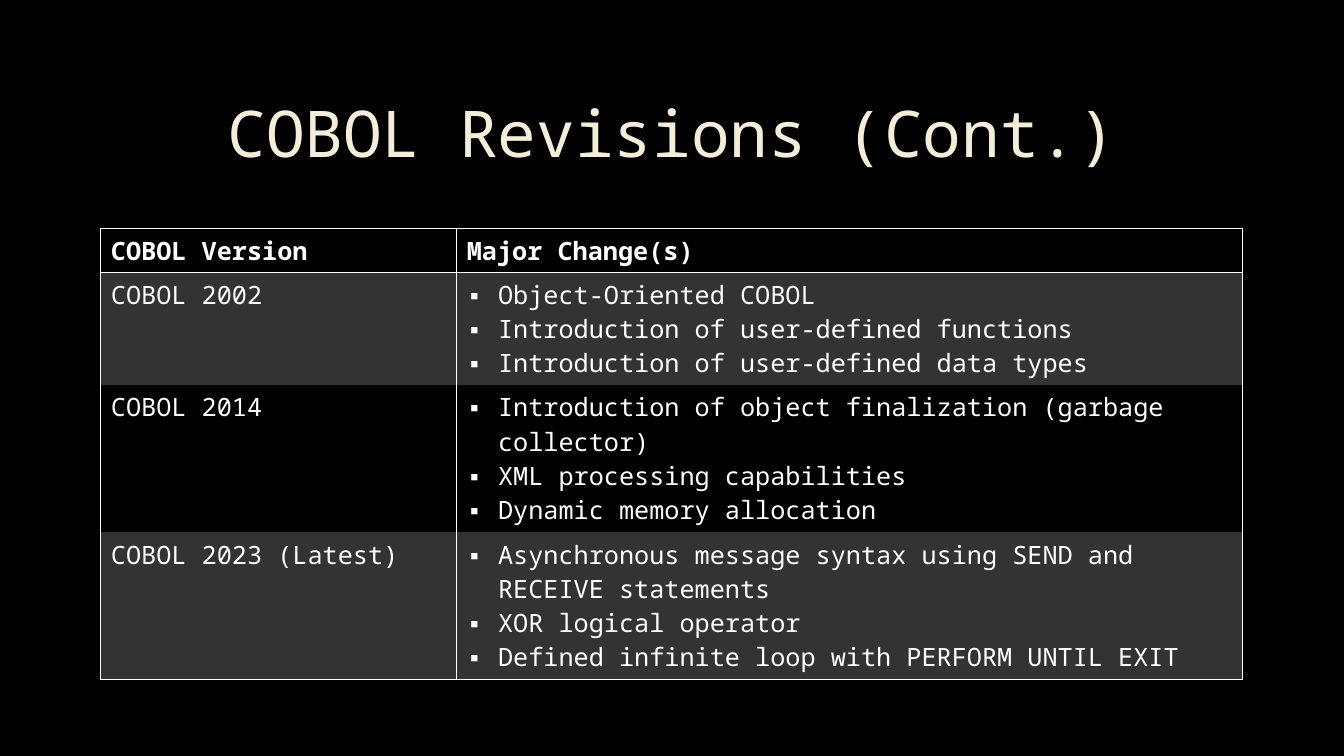
"""Build the slide on the later COBOL revisions."""
from dataclasses import dataclass

from lxml import etree
from pptx import Presentation
from pptx.dml.color import RGBColor
from pptx.enum.text import MSO_ANCHOR, PP_ALIGN
from pptx.oxml.ns import qn
from pptx.util import Inches, Pt

MIDDLE = MSO_ANCHOR.MIDDLE
CENTER = PP_ALIGN.CENTER

HEAD = ("COBOL Version", "Major Change(s)")
ROWS = [
    ("COBOL 2002", [
        "Object-Oriented COBOL",
        "Introduction of user-defined functions",
        "Introduction of user-defined data types",
    ]),
    ("COBOL 2014", [
        "Introduction of object finalization (garbage collector)",
        "XML processing capabilities",
        "Dynamic memory allocation",
    ]),
    ("COBOL 2023 (Latest)", [
        "Asynchronous message syntax using SEND and RECEIVE statements",
        "XOR logical operator",
        "Defined infinite loop with PERFORM UNTIL EXIT",
    ]),
]


@dataclass(frozen=True)
class Theme:
    """Hold the colours, font and type sizes."""
    back: str = "000000"
    ink: str = "FFFFFF"
    title: str = "F4EDD8"
    edge: str = "404040"
    font: str = "Noto Sans Mono"
    big: int = 46
    body: int = 18


def add_color(parent, color, alpha=None):
    """Add a solid fill, clear in part if alpha is given, to an XML node."""
    fill = etree.SubElement(parent, qn("a:solidFill"))
    tone = etree.SubElement(fill, qn("a:srgbClr"), val=color)
    if alpha is not None:
        etree.SubElement(tone, qn("a:alpha"), val=str(alpha * 1000))


def write(para, text, *, font, size, color, bold=False, align=None, bullet=None):
    """Write text into a paragraph and return its run."""
    run = para.add_run()
    run.text = text
    run.font.name = font
    run.font.size = Pt(size)
    run.font.bold = bold
    run.font.color.rgb = RGBColor.from_string(color)
    para.alignment = align
    if bullet:
        props = para._p.get_or_add_pPr()
        dent = Inches(0.31)
        props.set("marL", str(dent))
        props.set("indent", str(-dent))
        etree.SubElement(props, qn("a:buFont"), typeface=font)
        etree.SubElement(props, qn("a:buChar"), char=bullet)
    return run


class Deck:
    """Hold the theme and the current slide."""

    def __init__(self, theme):
        """Open a wide deck with one blank slide."""
        self.theme = theme
        self.deck = Presentation()
        self.deck.slide_width = Inches(13.33)
        self.deck.slide_height = Inches(7.5)
        self.slide = self.deck.slides.add_slide(self.deck.slide_layouts[6])
        fill = self.slide.background.fill
        fill.solid()
        fill.fore_color.rgb = RGBColor.from_string(theme.back)

    def title(self, text, left, top, width, height):
        """Add the centred title with its faint outline."""
        look = self.theme
        box = self.slide.shapes.add_textbox(
            Inches(left), Inches(top), Inches(width), Inches(height))
        frame = box.text_frame
        frame.word_wrap = True
        frame.vertical_anchor = MIDDLE
        para = frame.paragraphs[0]
        para.line_spacing = 0.9
        run = write(para, text, font=look.font, size=look.big,
                    color=look.title, align=CENTER)
        line = etree.Element(qn("a:ln"), w=str(Pt(0.75)))
        add_color(line, look.edge, 10)
        run._r.get_or_add_rPr().insert(0, line)

    def cell(self, cell, lines, sides, bold=False, bullet=None, band=False):
        """Fill one cell with lines, borders and an optional band."""
        look = self.theme
        frame = cell.text_frame
        for i, text in enumerate(lines):
            para = frame.add_paragraph() if i else frame.paragraphs[0]
            write(para, text, font=look.font, size=look.body,
                  color=look.ink, bold=bold, bullet=bullet)
        props = cell._tc.get_or_add_tcPr()
        for side in "LRTB":
            line = etree.SubElement(props, qn("a:ln" + side), w=str(Pt(1)))
            if side in sides:
                add_color(line, look.ink)
            else:
                etree.SubElement(line, qn("a:noFill"))
        if band:
            add_color(props, look.ink, 20)
        else:
            cell.fill.background()

    def table(self, head, rows, left, top, widths, heights):
        """Add the table of versions and their changes."""
        table = self.slide.shapes.add_table(
            len(heights), len(widths), Inches(left), Inches(top),
            Inches(sum(widths)), Inches(sum(heights))).table
        table.first_row = table.horz_banding = False
        for col, width in zip(table.columns, widths):
            col.width = Inches(width)
        for row, height in zip(table.rows, heights):
            row.height = Inches(height)
        for c, text in enumerate(head):
            self.cell(table.cell(0, c), [text], "LRTB", bold=True)
        for r, (name, changes) in enumerate(rows, 1):
            sides = "LR" + "T" * (r == 1) + "B" * (r == len(rows))
            band = r % 2 == 1
            self.cell(table.cell(r, 0), [name], sides, band=band)
            self.cell(table.cell(r, 1), changes, sides, bullet="▪", band=band)

    def save(self):
        """Save the deck."""
        self.deck.save("out.pptx")


def main():
    """Build and save the slide."""
    deck = Deck(Theme())
    deck.title("COBOL Revisions (Cont.)", 1, 0.67, 11.32, 1.38)
    deck.table(HEAD, ROWS, 1, 2.27, (3.53, 7.79), (0.43, 1.12, 1.46, 1.46))
    deck.save()


if __name__ == "__main__":
    main()
